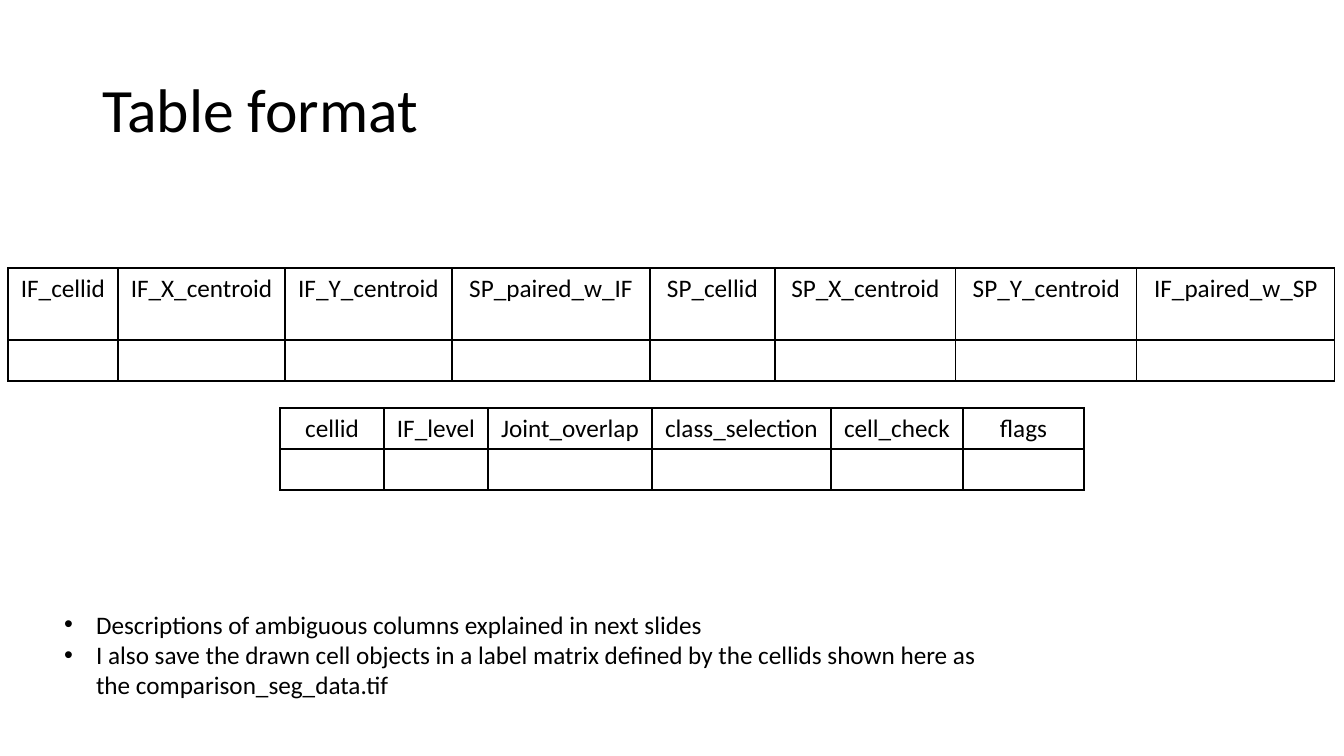
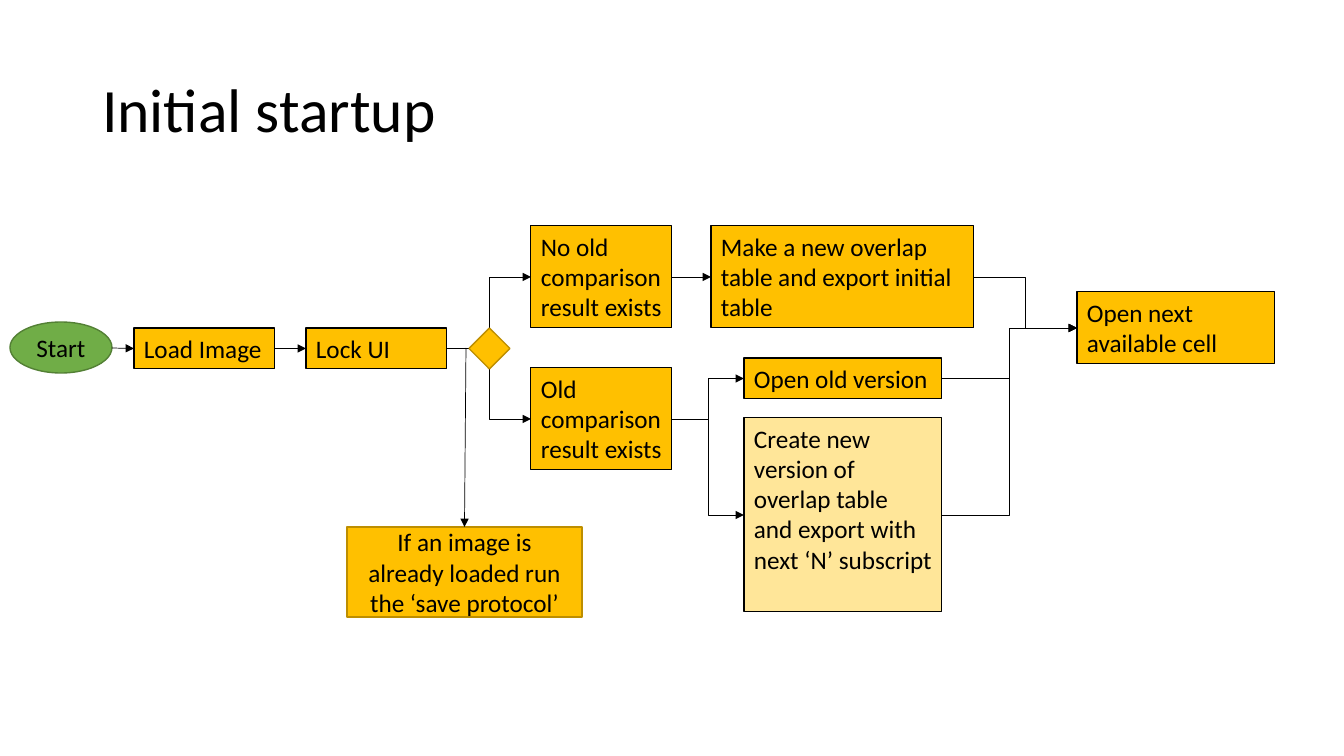
from lxml.etree import SubElement
from pptx import Presentation
from pptx.dml.color import RGBColor
from pptx.enum.shapes import MSO_CONNECTOR as Connector, MSO_SHAPE as Preset
from pptx.enum.text import MSO_ANCHOR as Anchor, MSO_AUTO_SIZE as AutoSize, PP_ALIGN as Align
from pptx.oxml import parse_xml
from pptx.oxml.ns import nsdecls, qn
from pptx.util import Pt

PIXEL = 914400 / 100.8
FONT = "Calibri"
COLORS = {
    "black": "000000",
    "step": "FFC000",
    "step_edge": "BD8E00",
    "pale_step": "FFE699",
    "start": "70AD47",
    "start_edge": "538035",
}
TOP, LEFT, RIGHT = 0, 1, 3


def px(value):
    return round(value * PIXEL)


def color(name):
    return RGBColor.from_string(COLORS[name])


def place(shape, left, top, width, height):
    shape.left, shape.top = px(left), px(top)
    shape.width, shape.height = px(width), px(height)


def style_paragraph(paragraph, size=18, align=Align.LEFT):
    paragraph.alignment = align
    paragraph.font.name = FONT
    paragraph.font.size = Pt(size)
    paragraph.font.color.rgb = color("black")


def add_slide(presentation, layout_index, title):
    slide = presentation.slides.add_slide(presentation.slide_layouts[layout_index])
    shape = slide.shapes.title
    place(shape, 92, 40, 1159, 146)
    frame = shape.text_frame
    frame.text = title
    frame.vertical_anchor = Anchor.MIDDLE
    frame.auto_size = AutoSize.NONE
    style_paragraph(frame.paragraphs[0], 44)
    frame.paragraphs[0].line_spacing = 0.9
    return slide


def fill_bullets(shape, lines):
    place(shape, 54, 604, 940, 102)
    frame = shape.text_frame
    frame.text = "\n".join(lines)
    frame.auto_size = AutoSize.NONE
    for paragraph in frame.paragraphs:
        style_paragraph(paragraph)
        paragraph.space_before = Pt(0)
        properties = paragraph._p.get_or_add_pPr()
        properties.set("marL", str(px(32)))
        properties.set("indent", str(px(-32)))
        SubElement(properties, qn("a:buChar"), char="•")
        properties.append(properties.find(qn("a:defRPr")))


def outline_cell(cell):
    properties = cell._tc.get_or_add_tcPr()
    for index, side in enumerate(("lnL", "lnR", "lnT", "lnB")):
        border = parse_xml(
            f'<a:{side} {nsdecls("a")} w="{Pt(1)}"><a:solidFill>'
            f'<a:srgbClr val="{COLORS["black"]}"/></a:solidFill></a:{side}>'
        )
        properties.insert(index, border)


def add_header_table(slide, left, top, columns, row_heights):
    frame = slide.shapes.add_table(
        len(row_heights), len(columns), px(left), px(top),
        px(sum(columns.values())), px(sum(row_heights)),
    )
    table = frame.table
    table.first_row = table.horz_banding = False
    for row, height in zip(table.rows, row_heights):
        row.height = px(height)
    for index, (heading, width) in enumerate(columns.items()):
        table.columns[index].width = px(width)
        table.cell(0, index).text = heading
    for cell in table.iter_cells():
        style_paragraph(cell.text_frame.paragraphs[0], align=Align.CENTER)
        cell.fill.background()
        outline_cell(cell)


def add_node(slide, box, text="", preset=Preset.RECTANGLE, fill="step",
             edge="black", weight=0.75, centered=False):
    shape = slide.shapes.add_shape(preset, *map(px, box))
    shape.shadow.inherit = False
    shape.fill.solid()
    shape.fill.fore_color.rgb = color(fill)
    shape.line.color.rgb = color(edge)
    shape.line.width = Pt(weight)
    if text:
        frame = shape.text_frame
        frame.text = text
        frame.word_wrap = True
        frame.vertical_anchor = Anchor.MIDDLE if centered else Anchor.TOP
        if not centered:
            frame.margin_right = px(6)
        for paragraph in frame.paragraphs:
            style_paragraph(paragraph, align=Align.CENTER if centered else Align.LEFT)
    return shape


def add_arrow(slide, start, target, site=LEFT, kind=Connector.STRAIGHT):
    is_point = isinstance(start, tuple)
    x, y = map(px, start) if is_point else (0, 0)
    connector = slide.shapes.add_connector(kind, x, y, x, y)
    if not is_point:
        connector.begin_connect(start, RIGHT)
    connector.end_connect(target, site)
    connector.line.color.rgb = color("black")
    connector.line.width = Pt(0.5)
    SubElement(connector.line._get_or_add_ln(), qn("a:tailEnd"), type="triangle")
    SubElement(connector._element.spPr, qn("a:effectLst"))


def build_table_format(presentation):
    slide = add_slide(presentation, 1, "Table format")
    cell_columns = {
        "IF_cellid": 110, "IF_X_centroid": 167, "IF_Y_centroid": 167,
        "SP_paired_w_IF": 198, "SP_cellid": 125, "SP_X_centroid": 181,
        "SP_Y_centroid": 181, "IF_paired_w_SP": 198,
    }
    result_columns = {
        "cellid": 104, "IF_level": 104, "Joint_overlap": 164,
        "class_selection": 179, "cell_check": 132, "flags": 121,
    }
    add_header_table(slide, 8, 268, cell_columns, (72, 41))
    add_header_table(slide, 280, 408, result_columns, (41, 41))
    fill_bullets(slide.placeholders[1], [
        "Descriptions of ambiguous columns explained in next slides",
        "I also save the drawn cell objects in a label matrix defined by "
        "the cellids shown here as the comparison_seg_data.tif",
    ])


def build_initial_startup(presentation):
    slide = add_slide(presentation, 5, "Initial startup")
    load = add_node(slide, (134, 328, 141, 41), "Load Image")
    lock = add_node(slide, (306, 328, 141, 41), "Lock UI")
    no_result = add_node(slide, (531, 226, 141, 102), "No old comparison result exists")
    old_result = add_node(slide, (531, 368, 141, 102), "Old comparison result exists")
    new_table = add_node(slide, (711, 226, 263, 102),
                         "Make a new overlap table and export initial table")
    old_version = add_node(slide, (744, 358, 198, 41), "Open old version")
    new_version = add_node(
        slide, (744, 418, 198, 194),
        "Create new\vversion of\voverlap table\vand export with\vnext ‘N’ subscript",
        fill="pale_step",
    )
    next_cell = add_node(slide, (1077, 292, 198, 72), "Open next available cell")
    add_node(slide, (10, 322, 102, 51), "Start", Preset.OVAL,
             "start", "start_edge", 1, True)
    save = add_node(slide, (347, 527, 235, 90),
                    "If an image is already loaded run the ‘save protocol’",
                    edge="step_edge", weight=1, centered=True)

    for start, target in (((112, 348), load), (load, lock), (no_result, new_table)):
        add_arrow(slide, start, target)
    for start, target in (
        (lock, old_result), (lock, no_result),
        (old_result, old_version), (old_result, new_version),
        (new_table, next_cell), (old_version, next_cell), (new_version, next_cell),
    ):
        add_arrow(slide, start, target, kind=Connector.ELBOW)
    add_arrow(slide, (466, 348), save, TOP)
    add_node(slide, (469, 328, 41, 41), preset=Preset.FLOWCHART_DECISION,
             edge="step_edge", weight=1)


def main():
    presentation = Presentation()
    presentation.slide_width, presentation.slide_height = px(1344), px(756)
    build_table_format(presentation)
    build_initial_startup(presentation)
    presentation.save("out.pptx")


main()
